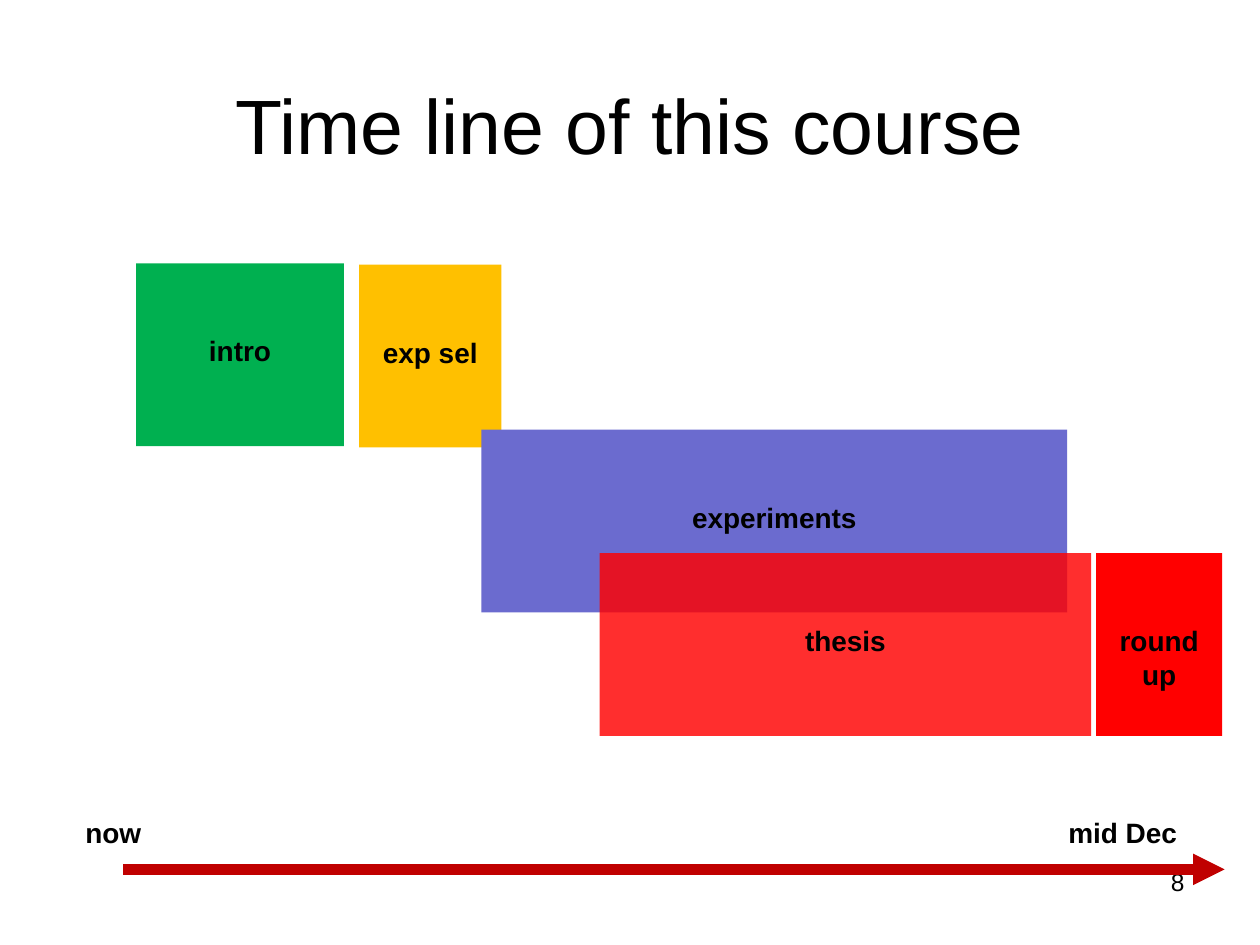
from lxml import etree
from pptx import Presentation
from pptx.dml.color import RGBColor
from pptx.enum.shapes import MSO_CONNECTOR, MSO_SHAPE
from pptx.enum.text import MSO_ANCHOR, PP_ALIGN
from pptx.oxml.ns import qn
from pptx.util import Inches, Pt

LEFT, CENTER, RIGHT = PP_ALIGN.LEFT, PP_ALIGN.CENTER, PP_ALIGN.RIGHT
TOP, MIDDLE = MSO_ANCHOR.TOP, MSO_ANCHOR.MIDDLE
RECT, STRAIGHT = MSO_SHAPE.RECTANGLE, MSO_CONNECTOR.STRAIGHT

FONT = "Arial"
PHASE_H = 1.45
# label, left, top, width, fill, opacity in percent
PHASES = [
    ("intro", 1.08, 2.09, 1.65, "00B050", 100),
    ("exp sel", 2.85, 2.1, 1.13, "FFC000", 100),
    ("experiments", 3.82, 3.41, 4.65, "6B6BCF", 100),
    ("thesis", 4.76, 4.39, 3.9, "FF0000", 82),
    ("round up", 8.7, 4.39, 1, "FF0000", 100),
]


def rgb(color):
    return RGBColor.from_string(color)


def write(tf, text, size, align, bold=False, anchor=TOP):
    tf.word_wrap = True
    tf.vertical_anchor = anchor
    p = tf.paragraphs[0]
    p.alignment = align
    r = p.add_run()
    r.text = text
    r.font.name = FONT
    r.font.size = Pt(size)
    r.font.bold = bold
    r.font.color.rgb = rgb("000000")


def add_text(s, box, *args, **kwargs):
    tb = s.shapes.add_textbox(*map(Inches, box))
    write(tb.text_frame, *args, **kwargs)


def add_phase(s, box, label, color, opacity):
    sp = s.shapes.add_shape(RECT, *map(Inches, box))
    sp.shadow.inherit = False
    sp.line.fill.background()
    sp.fill.solid()
    sp.fill.fore_color.rgb = rgb(color)
    if opacity < 100:
        clr = sp._element.spPr.find(qn("a:solidFill"))[0]
        etree.SubElement(clr, qn("a:alpha"), val=str(opacity * 1000))
    # Labels share a first-line height, so a wrapped one grows downwards
    sp.text_frame.margin_top = Inches(0.56)
    write(sp.text_frame, label, 16, CENTER, bold=True)


def add_time_axis(s, box, start, end):
    """Arrow along the bottom of the box, with a label above each end."""
    left, top, width, height = box
    y = Inches(top + height)
    axis = s.shapes.add_connector(STRAIGHT, Inches(left), y, Inches(left + width), y)
    axis.line.color.rgb = rgb("C00000")
    axis.line.width = Pt(6)
    etree.SubElement(axis.line._get_or_add_ln(), qn("a:tailEnd"), type="triangle")
    etree.SubElement(axis._element.spPr, qn("a:effectLst"))
    add_text(s, (left - 0.4, top, 1.5, 0.37), start, 16, LEFT, bold=True)
    add_text(s, (left + width - 1.78, top, 1.5, 0.37), end, 16, RIGHT, bold=True)


def main():
    prs = Presentation()
    prs.slide_width, prs.slide_height = Inches(10), Inches(7.5)
    s = prs.slides.add_slide(prs.slide_layouts[6])
    add_text(s, (0.5, 0.36, 9, 1.25), "Time line of this course", 44, CENTER, anchor=MIDDLE)
    add_text(s, (7.17, 6.83, 2.33, 0.52), "8", 14, RIGHT)
    for label, left, top, width, color, opacity in PHASES:
        add_phase(s, (left, top, width, PHASE_H), label, color, opacity)
    add_time_axis(s, (0.98, 6.42, 8.74, 0.48), "now", "mid Dec")
    prs.save("out.pptx")


if __name__ == "__main__":
    main()
